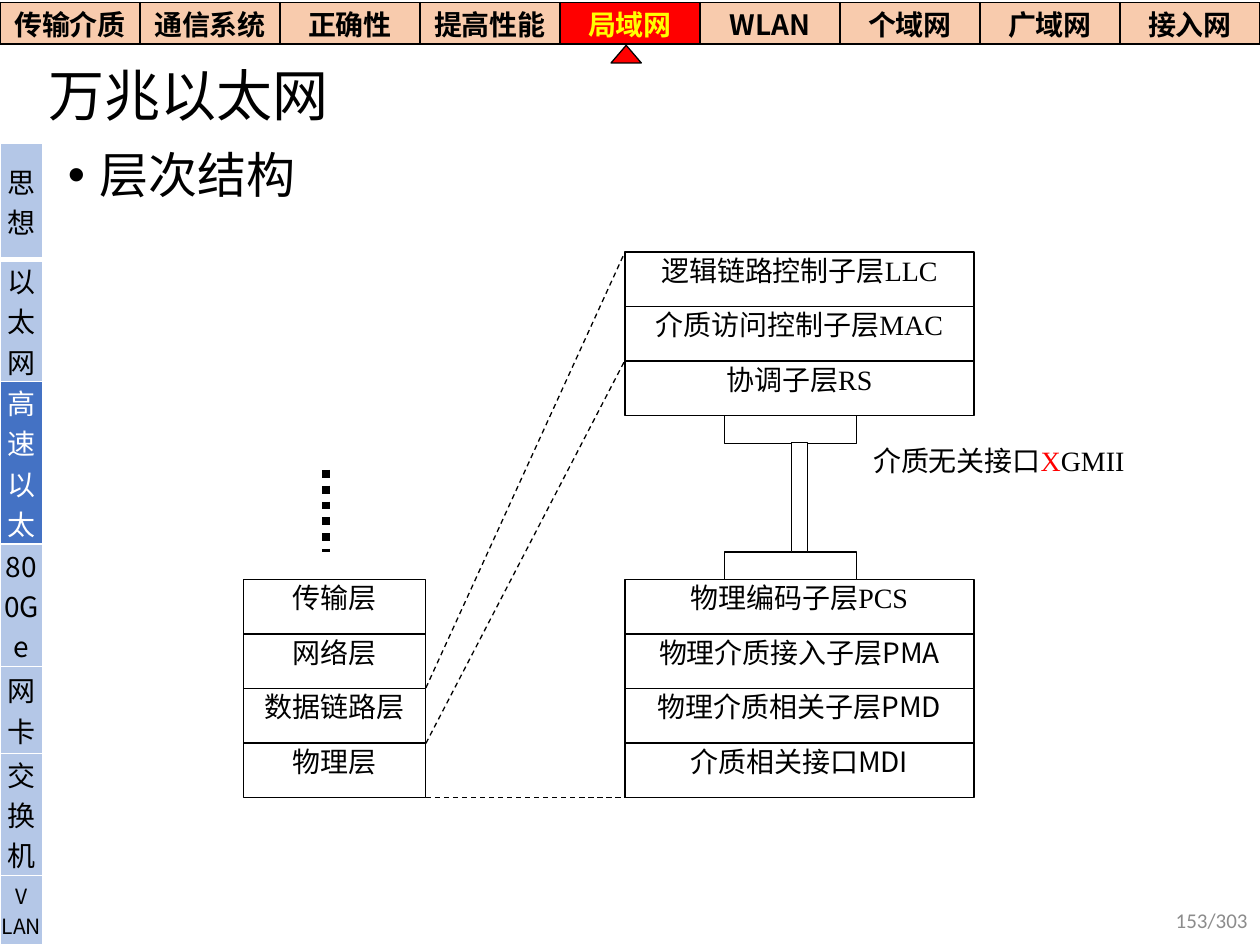
import pptx
import pptx.dml.color
import pptx.enum.dml
import pptx.enum.shapes
import pptx.enum.text
import pptx.oxml
import pptx.oxml.ns
import pptx.util
from lxml import etree

Inches, Pt = pptx.util.Inches, pptx.util.Pt
SHAPE = pptx.enum.shapes.MSO_SHAPE
DASH = pptx.enum.dml.MSO_LINE
ALIGN = pptx.enum.text.PP_ALIGN
ANCHOR = pptx.enum.text.MSO_ANCHOR
qn = pptx.oxml.ns.qn

COLORS = {"black": "000000", "white": "FFFFFF", "red": "FF0000", "yellow": "FFFF00",
          "peach": "F8CBAD", "pale_blue": "B4C7E7", "blue": "4472C4", "gray": "8C8C8C"}
SANS, SERIF = "Noto Sans CJK SC", "Times New Roman"

CHAPTERS = ["传输介质", "通信系统", "正确性", "提高性能", "局域网", "WLAN", "个域网", "广域网", "接入网"]
CURRENT_CHAPTER = "局域网"
# label, row height, text size; each row is tall enough for its wrapped label
SECTIONS = [("思想", 0.92, 16), ("以太网", 0.97, 16), ("高速以太", 1.29, 16), ("800Ge", 0.97, 16),
            ("网卡", 0.69, 16), ("交换机", 0.97, 16), ("V\nLAN", 0.55, 12)]
CURRENT_SECTION = "高速以太"

LAYER_HEIGHT = 1.73 / 4
# left, top, width, layers from top to bottom with their fonts
STACKS = [
    (4.96, 2, 2.77, [("逻辑链路控制子层LLC", SERIF), ("介质访问控制子层MAC", SERIF),
                     ("协调子层RS", SERIF)]),
    (1.93, 4.6, 1.45, [("传输层", SANS), ("网络层", SANS), ("数据链路层", SANS), ("物理层", SANS)]),
    (4.96, 4.6, 2.77, [("物理编码子层PCS", SERIF), ("物理介质接入子层PMA", SANS),
                       ("物理介质相关子层PMD", SANS), ("介质相关接口MDI", SANS)]),
]
INTERFACE_PARTS = [(5.75, 3.3, 1.05, 0.22), (5.75, 4.38, 1.05, 0.22), (6.28, 3.51, 0.13, 0.87)]
EXPANSION_LINES = [((3.38, 5.46), (4.96, 2)), ((3.38, 5.9), (4.96, 2.86)),
                   ((3.38, 6.33), (4.96, 6.33))]


def rgb(name):
    return pptx.dml.color.RGBColor.from_string(COLORS[name])


def write(frame, text, size=16, font=SANS, color="black", bold=False, align=ALIGN.LEFT,
          anchor=ANCHOR.TOP, insets=None, bullet=False):
    """Fill a text frame; text is a string or a list of (text, color) runs."""
    frame.word_wrap = True
    frame.vertical_anchor = anchor
    if insets:
        frame.margin_left = frame.margin_right = Inches(insets[0])
        frame.margin_top = frame.margin_bottom = Inches(insets[1])
    lines = [[(line, color)] for line in text.split("\n")] if isinstance(text, str) else [text]
    for index, runs in enumerate(lines):
        paragraph = frame.add_paragraph() if index else frame.paragraphs[0]
        paragraph.alignment = align
        if bullet:
            properties = paragraph._p.get_or_add_pPr()
            properties.set("marL", str(Inches(0.25)))
            properties.set("indent", str(-Inches(0.25)))
            etree.SubElement(properties, qn("a:buFont"), typeface="Arial")
            etree.SubElement(properties, qn("a:buChar"), char="•")
        for run_text, run_color in runs:
            run = paragraph.add_run()
            run.text = run_text
            run.font.size, run.font.name, run.font.bold = Pt(size), font, bold
            run.font.color.rgb = rgb(run_color)
            etree.SubElement(run._r.get_or_add_rPr(), qn("a:ea"), typeface=SANS)


def add_text(slide, box, text, **text_format):
    shape = slide.shapes.add_textbox(*map(Inches, box))
    write(shape.text_frame, text, **text_format)


def add_box(slide, box, kind=SHAPE.RECTANGLE, fill="white", outlined=True):
    shape = slide.shapes.add_shape(kind, *map(Inches, box))
    shape.shadow.inherit = False
    shape.fill.solid()
    shape.fill.fore_color.rgb = rgb(fill)
    if outlined:
        shape.line.color.rgb = rgb("black")
        shape.line.width = Pt(0.75)
    else:
        shape.line.fill.background()
    return shape


def add_line(slide, start, end, width, dash):
    line = slide.shapes.add_connector(pptx.enum.shapes.MSO_CONNECTOR.STRAIGHT,
                                      *map(Inches, start + end))
    line.line.color.rgb = rgb("black")
    line.line.width = Pt(width)
    line.line.dash_style = dash
    etree.SubElement(line._element.spPr, qn("a:effectLst"))


def add_grid(slide, box, rows, columns):
    table = slide.shapes.add_table(rows, columns, *map(Inches, box)).table
    table.first_row = table.horz_banding = False
    return table


def format_cell(cell, text, fill, border, bottom_width=1, **text_format):
    cell.margin_left = cell.margin_right = cell.margin_top = cell.margin_bottom = 0
    cell.vertical_anchor = ANCHOR.MIDDLE
    write(cell.text_frame, text, align=ALIGN.CENTER, **text_format)
    properties = cell._tc.get_or_add_tcPr()
    for side in "LRTB":
        width = bottom_width if side == "B" else 1
        line = etree.SubElement(properties, qn(f"a:ln{side}"), w=str(Pt(width)))
        solid = etree.SubElement(line, qn("a:solidFill"))
        etree.SubElement(solid, qn("a:srgbClr"), val=COLORS[border])
    cell.fill.solid()
    cell.fill.fore_color.rgb = rgb(fill)
    # Borders come before the fill in a cell's properties
    properties.append(properties.find(qn("a:solidFill")))


def add_navigation(slide):
    chapters = add_grid(slide, (0, 0.02, 10, 0.33), 1, len(CHAPTERS))
    for index, name in enumerate(CHAPTERS):
        current = name == CURRENT_CHAPTER
        format_cell(chapters.cell(0, index), name, "red" if current else "peach", "black",
                    color="yellow" if current else "black", bold=True)
    add_box(slide, (4.85, 0.36, 0.24, 0.14), SHAPE.FLOWCHART_EXTRACT, "red")

    height = sum(row_height for _, row_height, _ in SECTIONS)
    sections = add_grid(slide, (0, 1.14, 0.34, height), len(SECTIONS), 1)
    for index, (name, row_height, size) in enumerate(SECTIONS):
        current = name == CURRENT_SECTION
        sections.rows[index].height = Inches(row_height)
        format_cell(sections.cell(index, 0), name, "blue" if current else "pale_blue", "white",
                    bottom_width=1 if index else 3, size=size,
                    color="white" if current else "black")


def add_diagram(slide):
    for left, top, width, layers in STACKS:
        for index, (name, font) in enumerate(layers):
            layer = add_box(slide, (left, top + index * LAYER_HEIGHT, width, LAYER_HEIGHT))
            write(layer.text_frame, name, font=font, align=ALIGN.CENTER, insets=(0.02, 0.01))
    add_line(slide, (2.59, 3.73), (2.59, 4.38), 4.5, DASH.ROUND_DOT)
    for start, end in EXPANSION_LINES:
        add_line(slide, start, end, 0.75, DASH.DASH)
    for box in INTERFACE_PARTS:
        add_box(slide, box)
    label = add_box(slide, (6.93, 3.51, 2.24, LAYER_HEIGHT), outlined=False)
    write(label.text_frame, [("介质无关接口", "black"), ("X", "red"), ("GMII", "black")],
          font=SERIF, align=ALIGN.JUSTIFY, insets=(0, 0.01))


def main():
    presentation = pptx.Presentation()
    presentation.slide_width, presentation.slide_height = Inches(10), Inches(7.5)
    slide = presentation.slides.add_slide(presentation.slide_layouts[6])
    add_text(slide, (0.29, 0.38, 9.47, 0.74), "万兆以太网", size=32, anchor=ANCHOR.MIDDLE)
    add_text(slide, (0.44, 1.1, 9.31, 5.87), "层次结构", size=28, font=SERIF, bullet=True)
    add_navigation(slide)
    add_diagram(slide)
    add_text(slide, (7.75, 7.1, 2.25, 0.4), "153/303", size=12, font="Calibri", color="gray",
             align=ALIGN.RIGHT, anchor=ANCHOR.MIDDLE)
    presentation.save("out.pptx")


if __name__ == "__main__":
    main()
